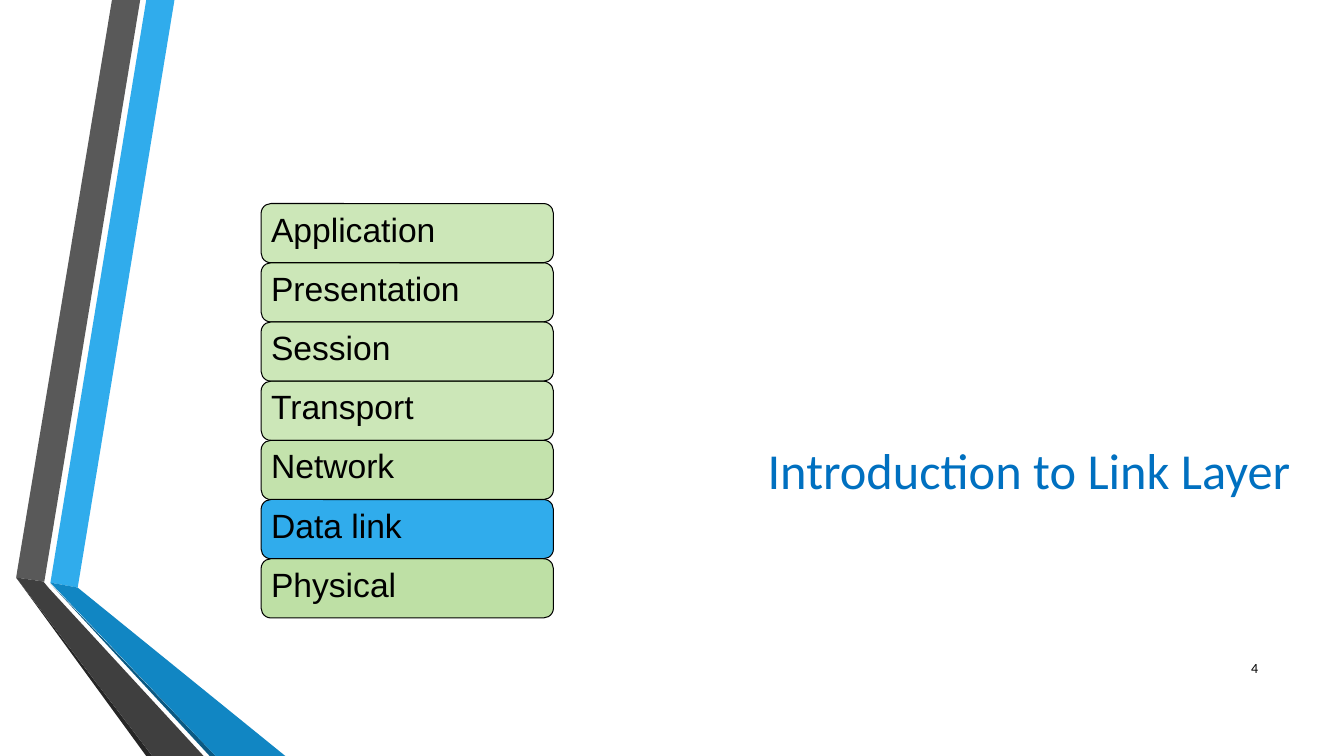
"""Build the link layer section slide with its seven-layer stack."""
from dataclasses import dataclass

from lxml.etree import SubElement
from pptx import Presentation
from pptx.dml.color import RGBColor as RGB
from pptx.enum.shapes import MSO_SHAPE as SHAPE
from pptx.enum.text import MSO_ANCHOR as ANCHOR, PP_ALIGN as ALIGN
from pptx.oxml.ns import qn
from pptx.util import Emu, Inches, Pt

WIDTH, HEIGHT = Inches(13.33), Inches(7.5)
COLORS = {
    "sky": "30ACEC", "gray": "595959", "black": "000000", "coal": "262626",
    "navy": "0B5982", "blue": "1186C3", "dark": "3F3F3F",
    "green": "80C34F", "title": "0070C0",
}


@dataclass
class Ribbon:
    """A coloured polygon with corners in percent of the slide."""
    color: str
    points: list[tuple[float, float]]


@dataclass
class Layer:
    """One row of the stack, with its opacity in percent."""
    name: str
    color: str = "green"
    opacity: int = 40


@dataclass
class Label:
    """Right-aligned text in a box given in percent of the slide."""
    text: str
    box: tuple[float, float, float, float]
    size: int
    color: str
    anchor: ANCHOR


RIBBONS = [
    Ribbon("sky", [(3.75, 77.07), (5.78, 77.73), (12.98, 0), (10.88, 0)]),
    Ribbon("gray", [(10.43, 0), (8.33, 0), (1.2, 76.4), (3.3, 76.93)]),
    Ribbon("coal", [(1.2, 76.4), (10.88, 100), (11.33, 100)]),
    Ribbon("navy", [(3.75, 77.2), (15.6, 100), (16.05, 100)]),
    Ribbon("blue", [(3.75, 77.07), (16.05, 100), (21.23, 100), (5.78, 77.73)]),
    Ribbon("dark", [(15.15, 100), (3.6, 77.73), (3.23, 76.93), (1.2, 76.4), (11.33, 100)]),
]
LAYERS = [
    Layer("Application"), Layer("Presentation"), Layer("Session"),
    Layer("Transport"), Layer("Network", opacity=47),
    Layer("Data link", "sky", 100), Layer("Physical", opacity=51),
]
LABELS = [
    Label("Introduction to Link Layer", (23.48, 57.47, 73.28, 12.53), 36, "title", ANCHOR.TOP),
    Label("4", (89.85, 85.73, 4.5, 5.33), 10, "black", ANCHOR.MIDDLE),
]
STACK_LEFT, STACK_TOP, STACK_WIDTH, ROW = 19.43, 26.93, 21.75, 7.83


def px(share: float) -> Emu:
    """Turn a percentage of the slide width into a length."""
    return Emu(round(WIDTH * share / 100))


def py(share: float) -> Emu:
    """Turn a percentage of the slide height into a length."""
    return Emu(round(HEIGHT * share / 100))


def paint(sp, color: str, opacity: int = 100) -> None:
    """Give a shape a flat fill and no shadow."""
    sp.shadow.inherit = False
    sp.fill.solid()
    sp.fill.fore_color.rgb = RGB.from_string(COLORS[color])
    if opacity < 100:
        clr = sp._element.spPr.find(qn("a:solidFill"))[0]
        SubElement(clr, qn("a:alpha"), val=str(opacity * 1000))


def write(tf, text: str, font: str, size: int, color: str, align: ALIGN, anchor: ANCHOR) -> None:
    """Put one formatted line into a text frame."""
    tf.text = text
    tf.word_wrap = True
    tf.vertical_anchor = anchor
    p = tf.paragraphs[0]
    p.alignment = align
    r = p.runs[0]
    r.font.name, r.font.size = font, Pt(size)
    r.font.color.rgb = RGB.from_string(COLORS[color])


def add_ribbon(slide, ribbon: Ribbon) -> None:
    """Draw one polygon of the side decoration."""
    corners = [(px(x), py(y)) for x, y in ribbon.points]
    builder = slide.shapes.build_freeform(*corners[0], scale=1.0)
    builder.add_line_segments(corners[1:], close=True)
    sp = builder.convert_to_shape()
    paint(sp, ribbon.color)
    sp.line.fill.background()


def add_layer(slide, row: int, layer: Layer) -> None:
    """Draw one named row of the layer stack."""
    sp = slide.shapes.add_shape(
        SHAPE.ROUNDED_RECTANGLE, px(STACK_LEFT), py(STACK_TOP + row * ROW), px(STACK_WIDTH), py(ROW))
    paint(sp, layer.color, layer.opacity)
    sp.line.color.rgb = RGB.from_string(COLORS["black"])
    sp.line.width = Pt(0.75)
    tf = sp.text_frame
    tf.margin_left, tf.margin_top = Inches(0.07), Inches(0.02)
    write(tf, layer.name, "Arial", 24, "black", ALIGN.LEFT, ANCHOR.TOP)


def add_label(slide, label: Label) -> None:
    """Place a right-aligned text box."""
    x, y, w, h = label.box
    tf = slide.shapes.add_textbox(px(x), py(y), px(w), py(h)).text_frame
    write(tf, label.text, "Calibri", label.size, label.color, ALIGN.RIGHT, label.anchor)


def main() -> None:
    """Assemble and save the slide."""
    prs = Presentation()
    prs.slide_width, prs.slide_height = WIDTH, HEIGHT
    slide = prs.slides.add_slide(prs.slide_layouts[6])
    for ribbon in RIBBONS:
        add_ribbon(slide, ribbon)
    for row, layer in enumerate(LAYERS):
        add_layer(slide, row, layer)
    for label in LABELS:
        add_label(slide, label)
    prs.save("out.pptx")


if __name__ == "__main__":
    main()
